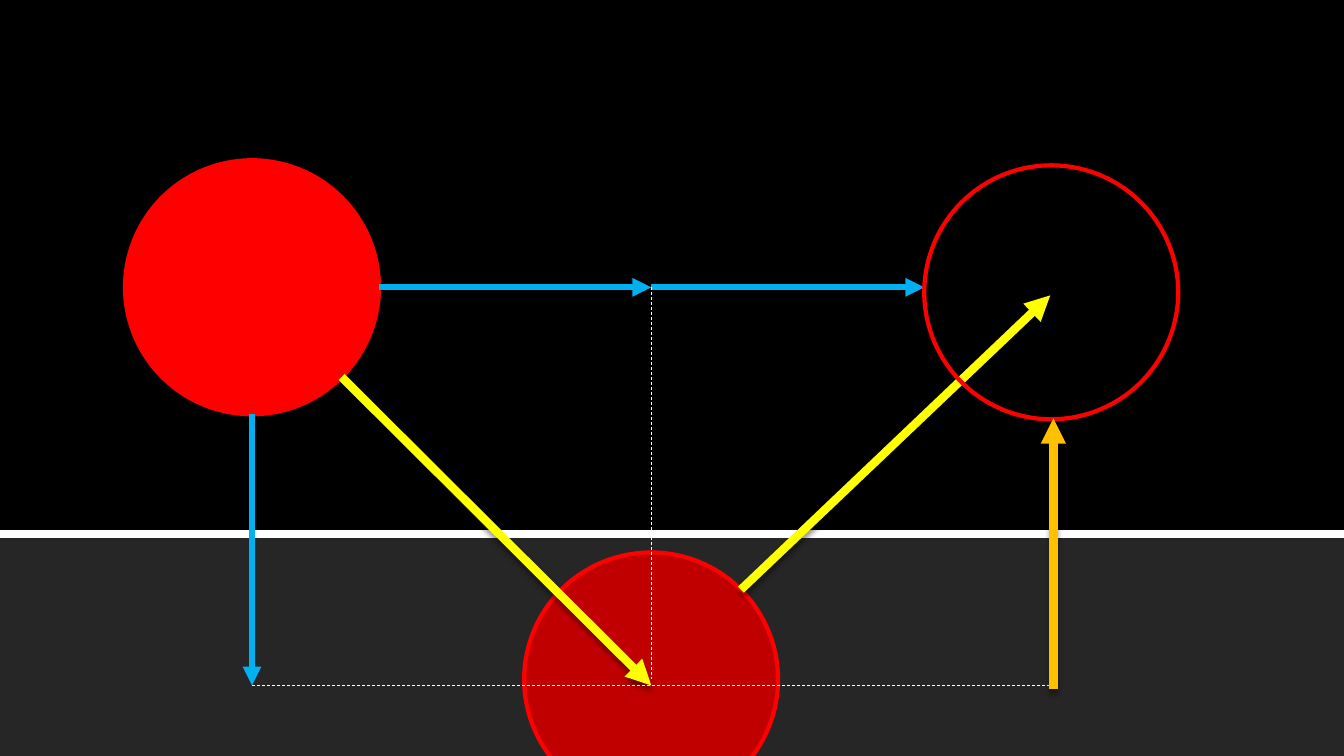
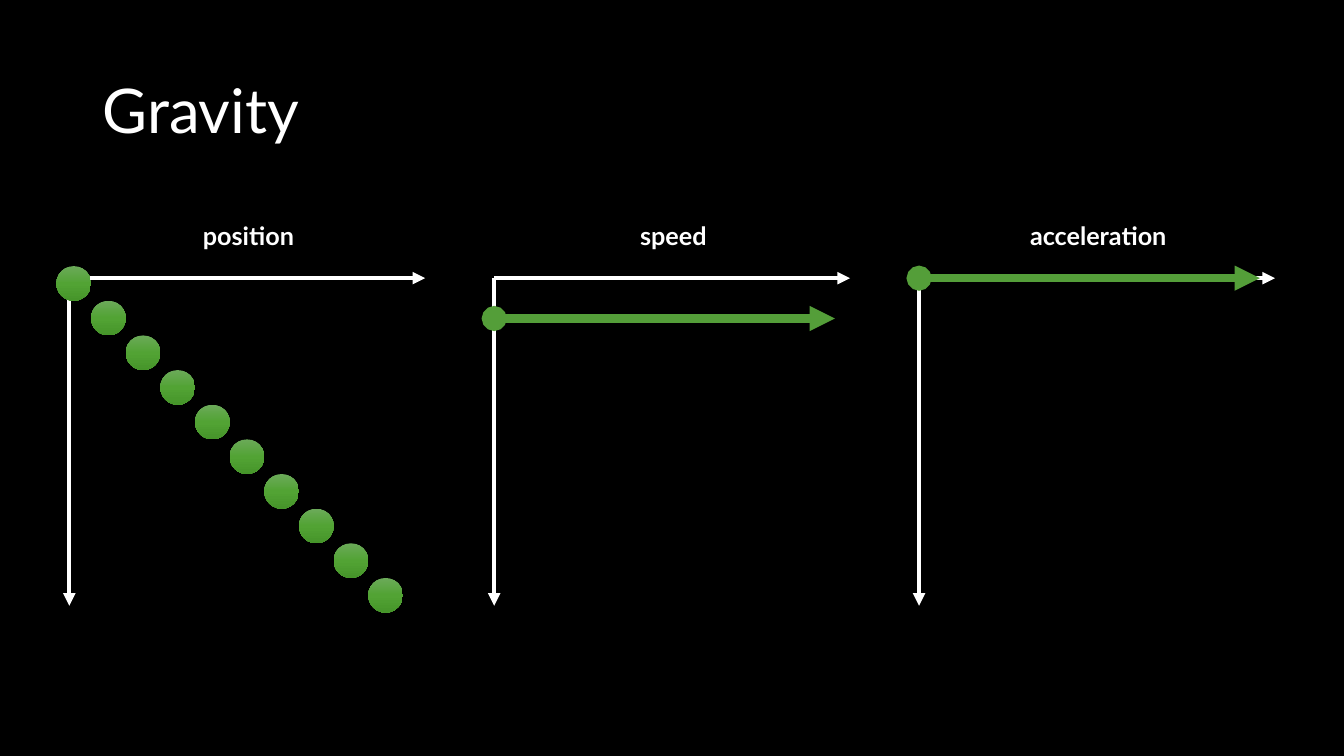
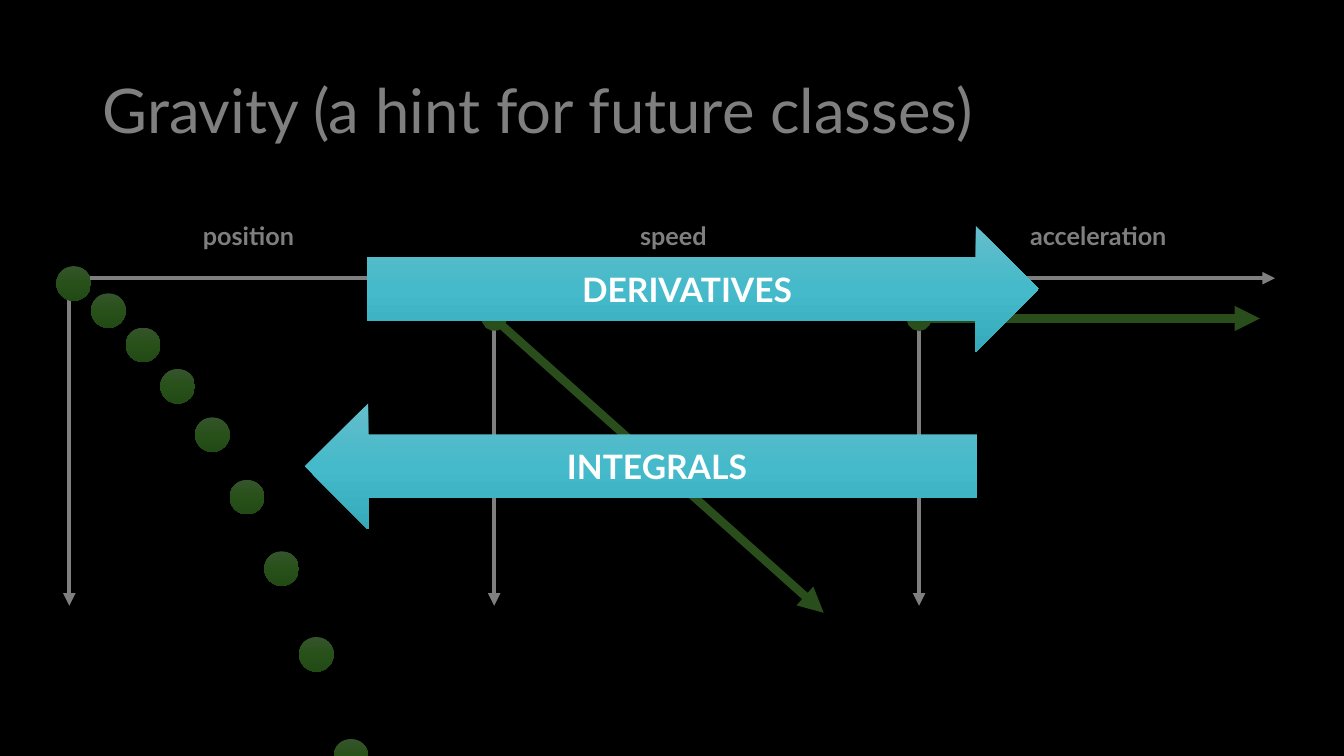
"""Builds three slides on bouncing motion and gravity."""
from copy import deepcopy

from lxml import etree
from pptx import Presentation
from pptx.dml.color import RGBColor
from pptx.enum import dml, shapes, text
from pptx.oxml.ns import qn
from pptx.util import Pt

COLORS = {
    "black": "000000", "white": "FFFFFF", "ground": "262626", "red": "FF0000",
    "dark red": "C00000", "yellow": "FFFF00", "blue": "00B0F0",
    "orange": "FFC000", "green": "549E39",
}
GREEN_SHADES = ("6BAA59", "52A334", "46952A")
TEAL_SHADES = ("65BDCB", "44BACA", "36AABA")
RGB = {name: RGBColor.from_string(value) for name, value in COLORS.items()}
FONT = "Lato"
KIND = shapes.MSO_SHAPE


def add_line(slide, start, end, color, width, head=None, tail=None, dash=None, shadow=False):
    line = slide.shapes.add_connector(
        shapes.MSO_CONNECTOR.STRAIGHT, *(Pt(value) for value in (*start, *end)))
    line.line.color.rgb = RGB[color]
    line.line.width = Pt(width)
    if dash:
        line.line.dash_style = dash
    outline = line.line._get_or_add_ln()
    for tag, tip in (("a:headEnd", head), ("a:tailEnd", tail)):
        if tip:
            etree.SubElement(outline, qn(tag), type=tip)
    effects = etree.SubElement(line._element.spPr, qn("a:effectLst"))
    if shadow:
        outer = etree.SubElement(effects, qn("a:outerShdw"), blurRad=str(Pt(4)),
                                 dist=str(Pt(3)), dir="5400000", rotWithShape="0")
        shade = etree.SubElement(outer, qn("a:srgbClr"), val=COLORS["black"])
        etree.SubElement(shade, qn("a:alpha"), val="40000")


def add_shape(slide, kind, box, fill=None, shades=None, line=None, width=3):
    shape = slide.shapes.add_shape(kind, *(Pt(value) for value in box))
    shape.shadow.inherit = False
    if shades:
        shape.fill.gradient()
        shape.fill.gradient_angle = 270
        stops = shape._element.spPr.find(".//" + qn("a:gsLst"))
        stops.insert(1, deepcopy(stops[0]))
        for stop, shade, position in zip(shape.fill.gradient_stops, shades, (0, 0.5, 1)):
            stop.color.rgb = RGBColor.from_string(shade)
            stop.position = position
    elif fill:
        shape.fill.solid()
        shape.fill.fore_color.rgb = RGB[fill]
    else:
        shape.fill.background()
    if line:
        shape.line.color.rgb = RGB[line]
        shape.line.width = Pt(width)
    else:
        shape.line.fill.background()
    return shape


deck = Presentation()
deck.slide_width, deck.slide_height = Pt(960), Pt(540)
bounce, falling, hint = [deck.slides.add_slide(deck.slide_layouts[6]) for _ in range(3)]
for slide in deck.slides:
    slide.background.fill.solid()
    slide.background.fill.fore_color.rgb = RGB["black"]

BALL = 181.4
start_x, middle_x, end_x = 180, 465.2, 752.4
flight_y, depth_y = 205.2, 489.6
add_shape(bounce, KIND.RECTANGLE, (-68, 381.6, 1095, 256.3), "ground", line="white", width=6)
for left, top, fill in ((89.3, 114.5, "red"), (374.4, 394.6, "dark red")):
    add_shape(bounce, KIND.OVAL, (left, top, BALL, BALL), fill, line="red")
for start, end in (((244, 269.3), (middle_x, depth_y)), ((529.2, 421.2), (750.2, 211))):
    add_line(bounce, start, end, "yellow", 6, tail="triangle", shadow=True)
for start, end in (((start_x, 296), (start_x, depth_y)),
                   ((270.7, flight_y), (middle_x, flight_y)),
                   ((middle_x, flight_y), (660.2, flight_y))):
    add_line(bounce, start, end, "blue", 4.5, tail="triangle")
for start, end in (((middle_x, flight_y), (middle_x, 485.3)),
                   ((start_x, depth_y), (end_x, depth_y))):
    add_line(bounce, start, end, "white", 0.5, dash=dml.MSO_LINE.DASH)
add_shape(bounce, KIND.OVAL, (660.2, 118.1, BALL, BALL), line="red")
add_line(bounce, (end_x, 298.8), (end_x, 492.5), "orange", 6, head="triangle", shadow=True)

DOT = 24.75
AXIS_TOP = 198.7
AXIS_LEFTS = [49.5 + 303.5 * column for column in range(3)]
QUANTITIES = ("position", "speed", "acceleration")
even_fall = [190.1 + DOT * step for step in range(10)]
growing_fall = [190.1, 209.5, 234, 263.5, 298.1, 342.7, 393.8, 455, 527.8]
graphs = (
    (falling, "Gravity", even_fall, ((28.8, 243.4, 0), (0, 243.4, 0))),
    (hint, "Gravity (a hint for future classes)", growing_fall,
     ((28.8, 235.4, 210.2), (28.8, 243.4, 0))),
)
for slide, heading, dot_tops, vectors in graphs:
    captions = [(heading, (66.2, 28.8, 828, 104.4), 44, False, text.PP_ALIGN.LEFT)]
    for left, quantity in zip(AXIS_LEFTS, QUANTITIES):
        for end in ((left + 254.2, AXIS_TOP), (left, 432.7)):
            add_line(slide, (left, AXIS_TOP), end, "white", 3, tail="triangle")
        captions.append((quantity, (left + 68, 153.4, 120, 29), 18, True, text.PP_ALIGN.CENTER))
    for words, box, size, bold, align in captions:
        caption = slide.shapes.add_textbox(*(Pt(value) for value in box)).text_frame
        caption.word_wrap = True
        caption.vertical_anchor = text.MSO_ANCHOR.MIDDLE
        caption.text = words
        line = caption.paragraphs[0]
        line.alignment = align
        line.line_spacing = 1.0 if bold else 0.9
        line.font.name, line.font.size, line.font.bold = FONT, Pt(size), bold
        line.font.color.rgb = RGB["white"]
    for step, top in enumerate(dot_tops):
        add_shape(slide, KIND.OVAL, (40.3 + DOT * step, top, DOT, DOT), shades=GREEN_SHADES)
    for left, (drop, across, down) in zip(AXIS_LEFTS[1:], vectors):
        top = AXIS_TOP + drop
        add_line(slide, (left, top), (left + across, top + down), "green", 6,
                 head="oval", tail="triangle")

veil = add_shape(hint, KIND.RECTANGLE, (0, 0, 960, 540), "black")
veil_color = veil._element.spPr.find(".//" + qn("a:srgbClr"))
etree.SubElement(veil_color, qn("a:alpha"), val="50000")
for words, kind, left, top in (("DERIVATIVES", KIND.RIGHT_ARROW, 262, 161.3),
                               ("INTEGRALS", KIND.LEFT_ARROW, 218, 288.2)):
    operation = add_shape(hint, kind, (left, top, 480, 90), shades=TEAL_SHADES).text_frame
    operation.vertical_anchor = text.MSO_ANCHOR.MIDDLE
    operation.text = words
    line = operation.paragraphs[0]
    line.alignment = text.PP_ALIGN.CENTER
    line.font.name, line.font.size, line.font.bold = FONT, Pt(24), True
    line.font.color.rgb = RGB["white"]

deck.save("out.pptx")
